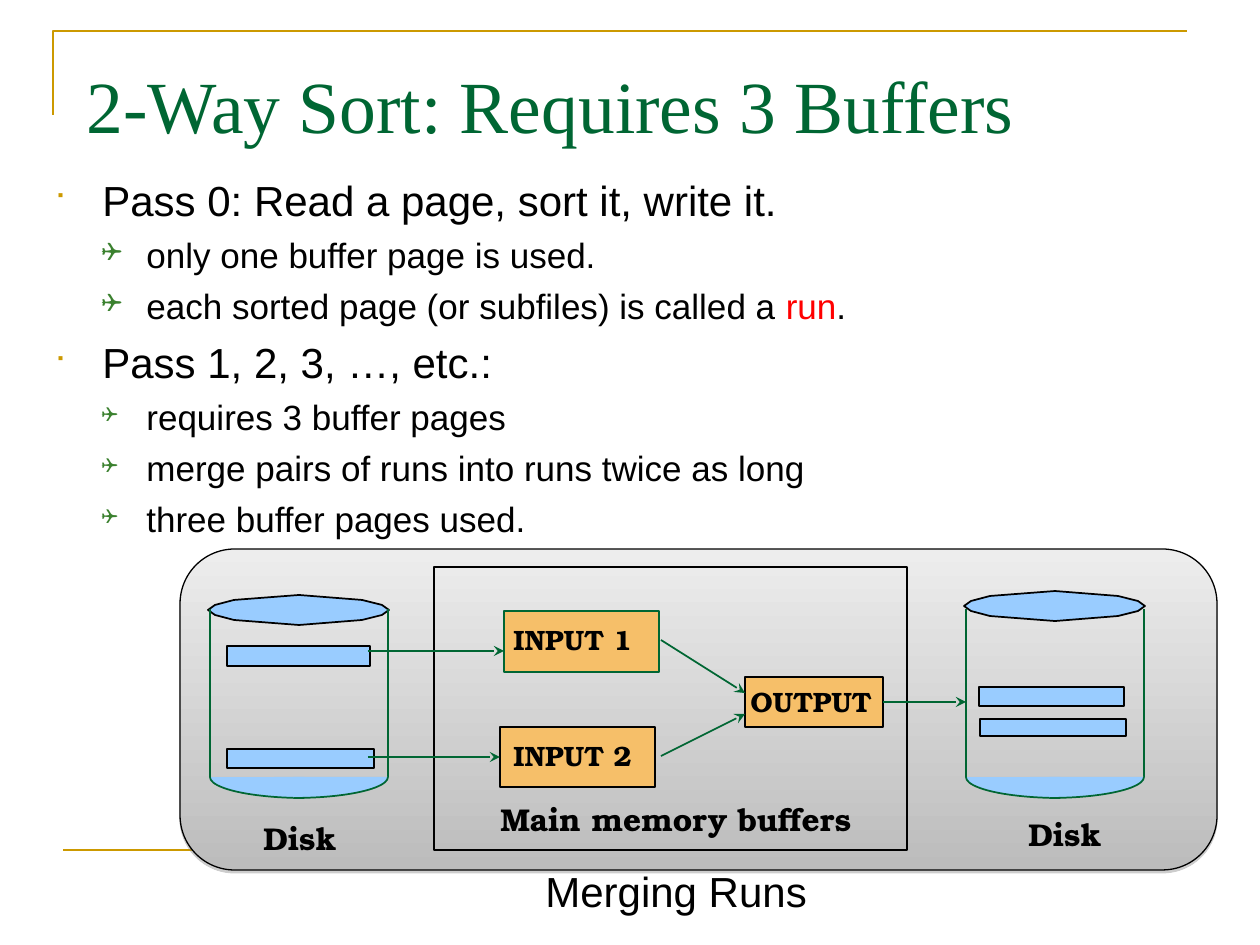
from dataclasses import dataclass

from lxml import etree
from pptx import Presentation
from pptx.dml.color import RGBColor
from pptx.enum.shapes import MSO_CONNECTOR, MSO_SHAPE
from pptx.enum.text import MSO_ANCHOR
from pptx.oxml.ns import qn
from pptx.util import Pt

RECTANGLE = MSO_SHAPE.RECTANGLE
ROUNDED = MSO_SHAPE.ROUNDED_RECTANGLE
ARC = MSO_SHAPE.ARC
STRAIGHT = MSO_CONNECTOR.STRAIGHT
TOP, MIDDLE = MSO_ANCHOR.TOP, MSO_ANCHOR.MIDDLE
LEFT_SIDE, RIGHT_SIDE = 1, 3
EMU_PER_PX = 914400 / 126


@dataclass(frozen=True)
class Theme:
    black: str = "000000"
    green: str = "006633"
    gold: str = "CC9900"
    leaf: str = "3B812F"
    red: str = "FF0000"
    blue: str = "99CCFF"
    orange: str = "F6BF69"
    panel_top: str = "EDEDED"
    panel_bottom: str = "BCBCBC"
    shadow: str = "808080"
    sans: str = "Arial"
    serif: str = "Times New Roman"
    label: str = "TeX Gyre Bonum"
    title_size: int = 42
    body_size: int = 24
    detail_size: int = 20
    caption_size: int = 18
    buffer_size: int = 16


THEME = Theme()


def emu(px):
    return round(px * EMU_PER_PX)


def rgb(color):
    return RGBColor.from_string(color)


def child(parent, tag, **attributes):
    return etree.SubElement(parent, qn(tag), attributes)


def write_span(para, text, *, size, font=THEME.sans, color=THEME.black, bold=False):
    span = para.add_run()
    span.text = text
    span.font.name = font
    span.font.size = Pt(size)
    span.font.bold = bold
    span.font.color.rgb = rgb(color)


def add_bullet(para, symbol, color, percent, margin, indent):
    properties = para._p.get_or_add_pPr()
    properties.set("marL", str(emu(margin)))
    properties.set("indent", str(-emu(indent)))
    child(child(properties, "a:buClr"), "a:srgbClr", val=color)
    child(properties, "a:buSzPct", val=str(percent * 1000))
    child(properties, "a:buFont", typeface="Wingdings")
    child(properties, "a:buChar", char=symbol)


class SlidePainter:
    def __init__(self, page, theme):
        self.page = page
        self.theme = theme

    def finish(self, shape, fill, line, width):
        shape.shadow.inherit = False
        if fill:
            shape.fill.solid()
            shape.fill.fore_color.rgb = rgb(fill)
        else:
            shape.fill.background()
        shape.line.color.rgb = rgb(line)
        shape.line.width = Pt(width)
        return shape

    def shape(self, kind, left, top, width, height, fill=None, line=THEME.black, weight=1):
        shape = self.page.shapes.add_shape(kind, emu(left), emu(top), emu(width), emu(height))
        return self.finish(shape, fill, line, weight)

    def outline(self, points, fill=None, line=THEME.black, weight=1, close=True):
        corners = [(emu(x), emu(y)) for x, y in points]
        builder = self.page.shapes.build_freeform(*corners[0], scale=1.0)
        builder.add_line_segments(corners[1:], close=close)
        return self.finish(builder.convert_to_shape(), fill, line, weight)

    def line(self, x1, y1, x2, y2, color=THEME.green, weight=1, arrow=False):
        line = self.page.shapes.add_connector(STRAIGHT, emu(x1), emu(y1), emu(x2), emu(y2))
        line.line.color.rgb = rgb(color)
        line.line.width = Pt(weight)
        if arrow:
            child(line.line._get_or_add_ln(), "a:tailEnd", type="stealth")
        child(line._element.spPr, "a:effectLst")
        return line

    def box(self, left, top, width, height, anchor=TOP, wrap=True):
        box = self.page.shapes.add_textbox(emu(left), emu(top), emu(width), emu(height))
        box.text_frame.word_wrap = wrap
        box.text_frame.vertical_anchor = anchor
        return box.text_frame

    def text(self, words, left, top, width, height, anchor=TOP, wrap=True, **style):
        frame = self.box(left, top, width, height, anchor, wrap)
        write_span(frame.paragraphs[0], words, **style)

    def label(self, words, left, top, width, height, size, wrap=False):
        self.text(words, left, top, width, height, wrap=wrap,
                  size=size, font=self.theme.label, bold=True)

    def outline_list(self, left, top, width, height, entries):
        theme = self.theme
        frame = self.box(left, top, width, height)
        for index, (level, percent, spans) in enumerate(entries):
            para = frame.add_paragraph() if index else frame.paragraphs[0]
            para.level = level
            if index:
                para.space_before = Pt(5 if level else 6)
            if level:
                add_bullet(para, "❑", theme.leaf, percent, 92, 45)
            else:
                add_bullet(para, "■", theme.gold, percent, 48, 48)
            size = theme.detail_size if level else theme.body_size
            for words, color in spans:
                write_span(para, words, size=size, color=color)

    def panel(self, left, top, width, height):
        theme = self.theme
        panel = self.shape(ROUNDED, left, top, width, height, weight=0.75)
        panel.adjustments[0] = 0.17
        panel.fill.gradient()
        panel.fill.gradient_angle = 270
        for stop, color, position in zip(panel.fill.gradient_stops,
                                         (theme.panel_top, theme.panel_bottom), (0, 1)):
            stop.color.rgb = rgb(color)
            stop.position = position
        effects = panel._element.spPr.find(qn("a:effectLst"))
        shadow = child(effects, "a:outerShdw", blurRad="0", dist=str(Pt(1.6)),
                       dir="5400000", rotWithShape="0")
        child(child(shadow, "a:srgbClr", val=theme.shadow), "a:alpha", val="38000")

    def lid(self, left, top):
        upper = [(181, 15), (174, 10), (154, 5), (91, 0), (26, 5), (7, 10), (0, 15)]
        lower = [(x, 30 - y) for x, y in reversed(upper[1:-1])]
        self.outline([(left + x, top + y) for x, y in upper + lower], self.theme.blue)

    def disk_body(self, left):
        for x in (left, left + 178):
            self.line(x, 609, x, 777)
        for x, start in ((left, 90), (left - 11, 0)):
            arc = self.shape(ARC, x, 756, 189, 42, self.theme.blue, self.theme.green)
            arc.adjustments[0] = start * 0.6
            arc.adjustments[1] = (start + 90) * 0.6


def main():
    deck = Presentation()
    deck.slide_width, deck.slide_height = emu(1260), emu(945)
    theme = THEME
    painter = SlidePainter(deck.slides.add_slide(deck.slide_layouts[6]), theme)

    painter.outline([(53, 115), (53, 31), (1187, 31)], line=theme.gold, weight=1.5, close=False)
    painter.line(63, 850, 1197, 850, theme.gold, 1.5)
    painter.panel(180, 549, 1037, 321)
    painter.text("2-Way Sort: Requires 3 Buffers", 74, 45, 1111, 118, MIDDLE,
                 size=theme.title_size, font=theme.serif, color=theme.green)
    black = theme.black
    painter.outline_list(42, 168, 1207, 651, [
        (0, 65, [("Pass 0: Read a page, sort it, write it.", black)]),
        (1, 75, [("only one buffer page is used.", black)]),
        (1, 75, [("each sorted page (or subfiles) is called a ", black),
                 ("run", theme.red), (".", black)]),
        (0, 65, [("Pass 1, 2, 3, …, etc.:", black)]),
        (1, 60, [("requires 3 buffer pages", black)]),
        (1, 60, [("merge pairs of runs into runs twice as long", black)]),
        (1, 60, [("three buffer pages used.", black)]),
    ])

    for left, top in ((208, 595), (964, 591)):
        painter.lid(left, top)
    for left, top, width, height in ((227, 646, 143, 20), (227, 749, 147, 19),
                                     (979, 687, 145, 19), (980, 719, 146, 17)):
        painter.shape(RECTANGLE, left, top, width, height, theme.blue)

    painter.shape(RECTANGLE, 504, 611, 155, 61, theme.orange, theme.green)
    output = painter.shape(RECTANGLE, 745, 677, 138, 50, theme.orange)
    second_input = painter.shape(RECTANGLE, 500, 727, 155, 60, theme.orange)
    painter.shape(RECTANGLE, 434, 567, 473, 283)

    for words, left, top, width in (("INPUT 1", 501, 616, 144), ("INPUT 2", 501, 732, 144),
                                    ("OUTPUT", 738, 678, 146)):
        painter.label(words, left, top, width, 45, theme.buffer_size)
    painter.label("Main memory buffers", 488, 794, 377, 50, theme.caption_size, wrap=True)
    for left, top in ((251, 813), (1016, 809)):
        painter.label("Disk", left, top, 98, 50, theme.caption_size)

    for left in (210, 966):
        painter.disk_body(left)
    for ends in ((368, 651, 504, 651), (661, 640, 745, 693), (661, 756, 745, 714)):
        painter.line(*ends, arrow=True)
    painter.line(368, 757, 500, 757, arrow=True).end_connect(second_input, LEFT_SIDE)
    painter.line(883, 702, 966, 702, arrow=True).begin_connect(output, RIGHT_SIDE)
    painter.text("Merging Runs", 533, 859, 507, 63, size=theme.body_size)
    deck.save("out.pptx")


if __name__ == "__main__":
    main()
